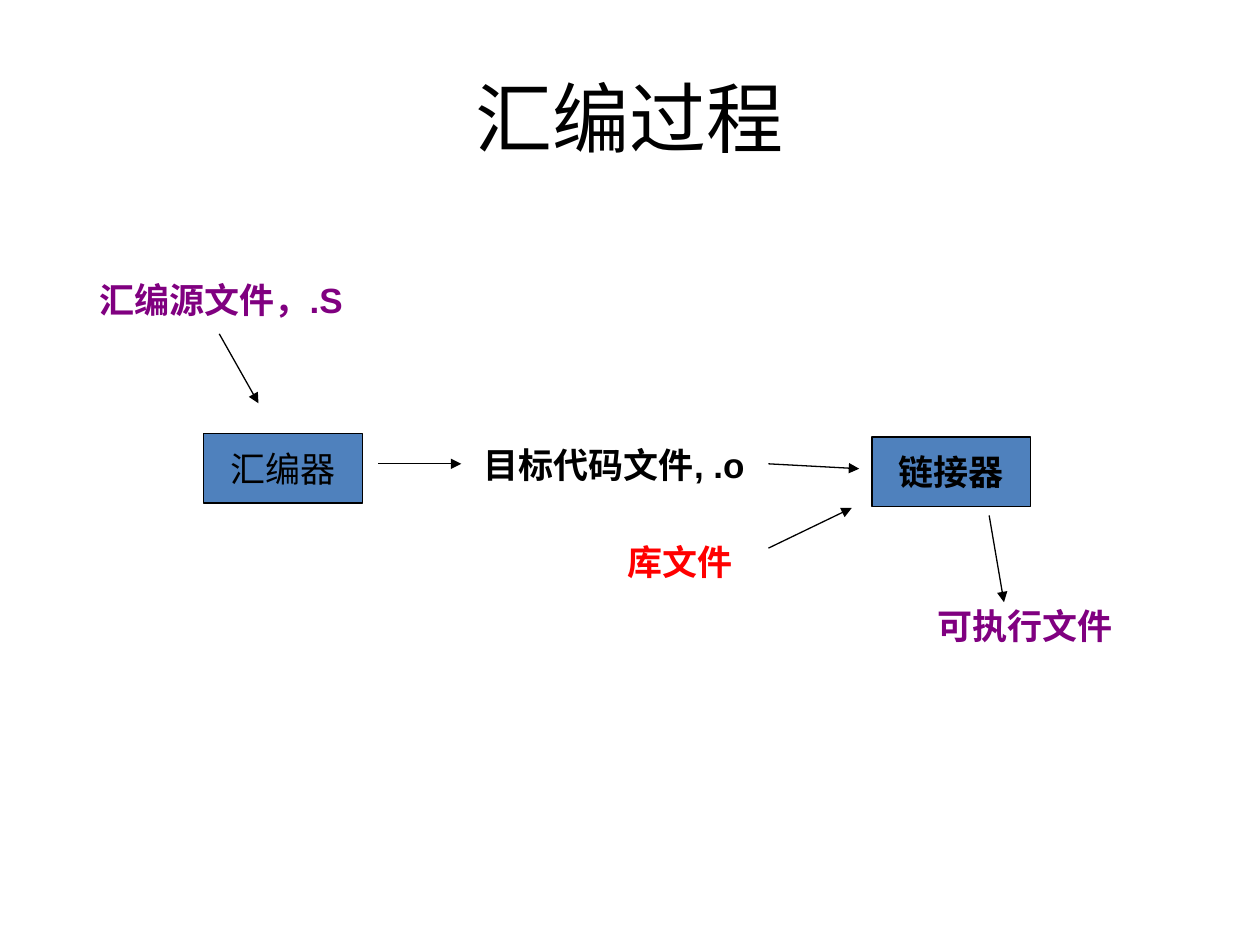
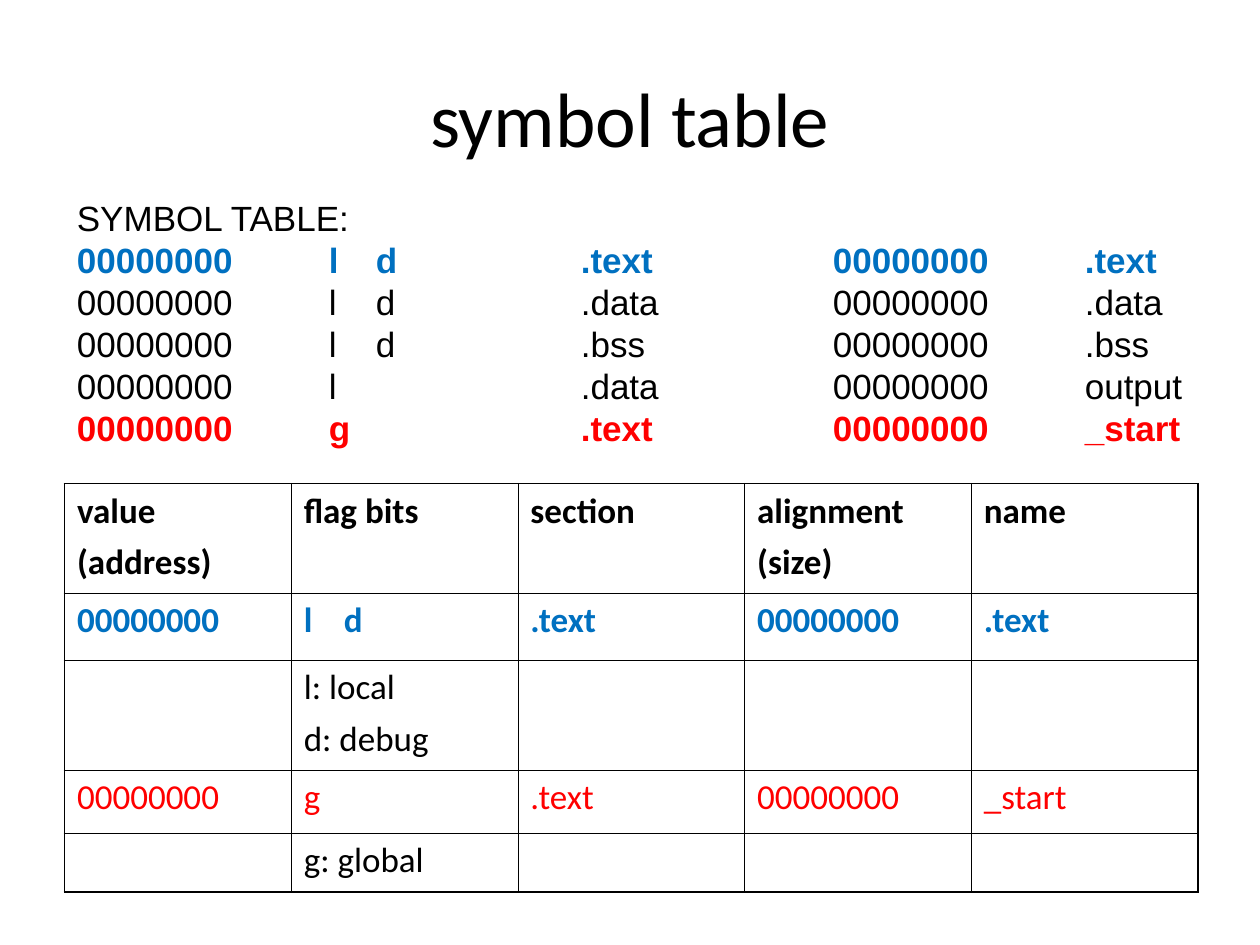
from lxml import etree
from pptx import Presentation
from pptx.dml.color import RGBColor
from pptx.enum.shapes import MSO_CONNECTOR, MSO_SHAPE
from pptx.enum.text import MSO_ANCHOR, PP_ALIGN
from pptx.oxml.ns import qn
from pptx.util import Cm, Pt

COLORS = {
    "black": "000000", "box": "4F81BD", "purple": "800080",
    "red": "FF0000", "blue": "0070C0",
}
HEADING_FONT, BODY_FONT = "Calibri", "Arial"
BODY_SIZE = 20

# Assembly process: positions and lengths in centimetres
PROCESS_TITLE = "汇编过程"
TOOLS = [  # text, left, top, bold
    ("汇编器", 4.11, 8.74, False),
    ("链接器", 17.58, 8.81, True),
]
TOOL_WIDTH, TOOL_HEIGHT = 3.2, 1.4
FILES = [  # text, left, top, width, color
    ("汇编源文件，.S", 1.75, 5.49, 6.1, "purple"),
    ("目标代码文件, .o", 9.5, 8.81, 5.99, "black"),
    ("库文件", 12.4, 10.77, 2.79, "red"),
    ("可执行文件", 18.64, 12.07, 4.19, "purple"),
]
FILE_HEIGHT = 1.12
ARROWS = [  # start x, start y, end x, end y
    (4.42, 6.73, 5.21, 8.13),
    (7.62, 9.35, 9.3, 9.35),
    (15.49, 9.35, 17.32, 9.45),
    (15.49, 11.05, 17.17, 10.24),
    (19.94, 10.39, 20.24, 12.14),
]

# Symbol table
SYMBOL_TITLE = "symbol table"
LISTING_HEADING = "SYMBOL TABLE:"
ZERO = "00000000"
SYMBOLS = [  # flags, section, name, color, bold
    ("l\td", ".text", ".text", "blue", True),
    ("l\td", ".data", ".data", "black", False),
    ("l\td", ".bss", ".bss", "black", False),
    ("l\t", ".data", "output", "black", False),
    ("g\t", ".text", "_start", "red", True),
]
LISTING_TABS = [5.08, 6.03, 10.16, 15.24, 20.32]
FLAG_TABS = [0.81]
TABLE_ROWS = [  # cells, height, color, bold
    (["value\n(address)", "flag bits", "section", "alignment\n(size)", "name"],
     2.21, "black", True),
    ([ZERO, "l\td", ".text", ZERO, ".text"], 1.35, "blue", True),
    (["", "l: local\nd: debug", "", "", ""], 2.21, "black", False),
    ([ZERO, "g", ".text", ZERO, "_start"], 1.27, "red", False),
    (["", "g: global", "", "", ""], 1.19, "black", False),
]
TABLE_LEFT, TABLE_TOP, COLUMN_WIDTH = 1.3, 9.75, 4.57
OUTER_LINE, INNER_LINE = 1.08, 0.45


def color(name):
    return RGBColor.from_string(COLORS[name])


def set_tabs(paragraph, stops):
    properties = paragraph._p.get_or_add_pPr()
    tab_list = etree.SubElement(properties, qn("a:tabLst"))
    for stop in stops:
        etree.SubElement(tab_list, qn("a:tab"), pos=str(Cm(stop)), algn="l")


def write(paragraph, text, font=BODY_FONT, size=BODY_SIZE, ink="black", bold=False,
          align=PP_ALIGN.LEFT, before=0, line_spacing=None, tabs=()):
    paragraph.alignment = align
    paragraph.space_before = Pt(before)
    if line_spacing:
        paragraph.line_spacing = Pt(line_spacing)
    if tabs:
        set_tabs(paragraph, tabs)
    run = paragraph.add_run()
    run.text = text
    run.font.name, run.font.size, run.font.bold = font, Pt(size), bold
    run.font.color.rgb = color(ink)


def add_text_frame(slide, left, top, width, height):
    frame = slide.shapes.add_textbox(Cm(left), Cm(top), Cm(width), Cm(height)).text_frame
    frame.word_wrap = True
    return frame


def add_titled_slide(presentation, title):
    slide = presentation.slides.add_slide(presentation.slide_layouts[6])
    frame = add_text_frame(slide, 1.27, 0.76, 22.86, 3.18)
    frame.vertical_anchor = MSO_ANCHOR.MIDDLE
    write(frame.paragraphs[0], title, font=HEADING_FONT, size=44, align=PP_ALIGN.CENTER)
    return slide


def add_tool(slide, text, left, top, bold):
    shape = slide.shapes.add_shape(MSO_SHAPE.FLOWCHART_PROCESS, Cm(left), Cm(top),
                                   Cm(TOOL_WIDTH), Cm(TOOL_HEIGHT))
    shape.shadow.inherit = False
    shape.fill.solid()
    shape.fill.fore_color.rgb = color("box")
    shape.line.color.rgb = color("black")
    shape.line.width = Pt(0.75)
    shape.text_frame.word_wrap = False
    shape.text_frame.vertical_anchor = MSO_ANCHOR.MIDDLE
    write(shape.text_frame.paragraphs[0], text, bold=bold, align=PP_ALIGN.CENTER)


def add_arrow(slide, *ends):
    arrow = slide.shapes.add_connector(MSO_CONNECTOR.STRAIGHT, *map(Cm, ends))
    arrow.line.color.rgb = color("black")
    arrow.line.width = Pt(0.75)
    etree.SubElement(arrow.line._get_or_add_ln(), qn("a:tailEnd"), type="triangle")
    etree.SubElement(arrow._element.spPr, qn("a:effectLst"))


def set_borders(cell, widths):
    """Draw the cell edges; widths maps L, R, T and B, in that order, to points."""
    properties = cell._tc.get_or_add_tcPr()
    for side, width in widths.items():
        line = etree.SubElement(properties, qn(f"a:ln{side}"), w=str(Pt(width)))
        fill = etree.SubElement(line, qn("a:solidFill"))
        etree.SubElement(fill, qn("a:srgbClr"), val=COLORS["black"])


def add_listing(slide):
    frame = add_text_frame(slide, TABLE_LEFT, 3.84, 22.86, 5.33)
    write(frame.paragraphs[0], LISTING_HEADING, line_spacing=24)
    for flags, section, name, ink, bold in SYMBOLS:
        write(frame.add_paragraph(), "\t".join([ZERO, flags, section, ZERO, name]),
              ink=ink, bold=bold, line_spacing=24, tabs=LISTING_TABS)


def add_symbol_table(slide):
    row_count, column_count = len(TABLE_ROWS), len(TABLE_ROWS[0][0])
    table = slide.shapes.add_table(
        row_count, column_count, Cm(TABLE_LEFT), Cm(TABLE_TOP),
        Cm(COLUMN_WIDTH * column_count), Cm(sum(row[1] for row in TABLE_ROWS))).table
    table.first_row = table.horz_banding = False
    for column in table.columns:
        column.width = Cm(COLUMN_WIDTH)
    for r, (texts, height, ink, bold) in enumerate(TABLE_ROWS):
        table.rows[r].height = Cm(height)
        for c, text in enumerate(texts):
            cell = table.cell(r, c)
            on_edge = {"L": c == 0, "R": c == column_count - 1,
                       "T": r == 0, "B": r == row_count - 1}
            set_borders(cell, {side: OUTER_LINE if outer else INNER_LINE
                               for side, outer in on_edge.items()})
            cell.fill.background()
            if not text:
                continue
            for i, line in enumerate(text.split("\n")):
                frame = cell.text_frame
                paragraph = frame.add_paragraph() if i else frame.paragraphs[0]
                write(paragraph, line, font=HEADING_FONT, ink=ink, bold=bold, before=5,
                      tabs=FLAG_TABS if "\t" in line else ())


def main():
    presentation = Presentation()
    presentation.slide_width, presentation.slide_height = Cm(25.4), Cm(19.05)

    process = add_titled_slide(presentation, PROCESS_TITLE)
    for tool in TOOLS:
        add_tool(process, *tool)
    for text, left, top, width, ink in FILES:
        frame = add_text_frame(process, left, top, width, FILE_HEIGHT)
        write(frame.paragraphs[0], text, ink=ink, bold=True)
    for arrow in ARROWS:
        add_arrow(process, *arrow)

    symbols = add_titled_slide(presentation, SYMBOL_TITLE)
    add_symbol_table(symbols)
    add_listing(symbols)

    presentation.save("out.pptx")


if __name__ == "__main__":
    main()
